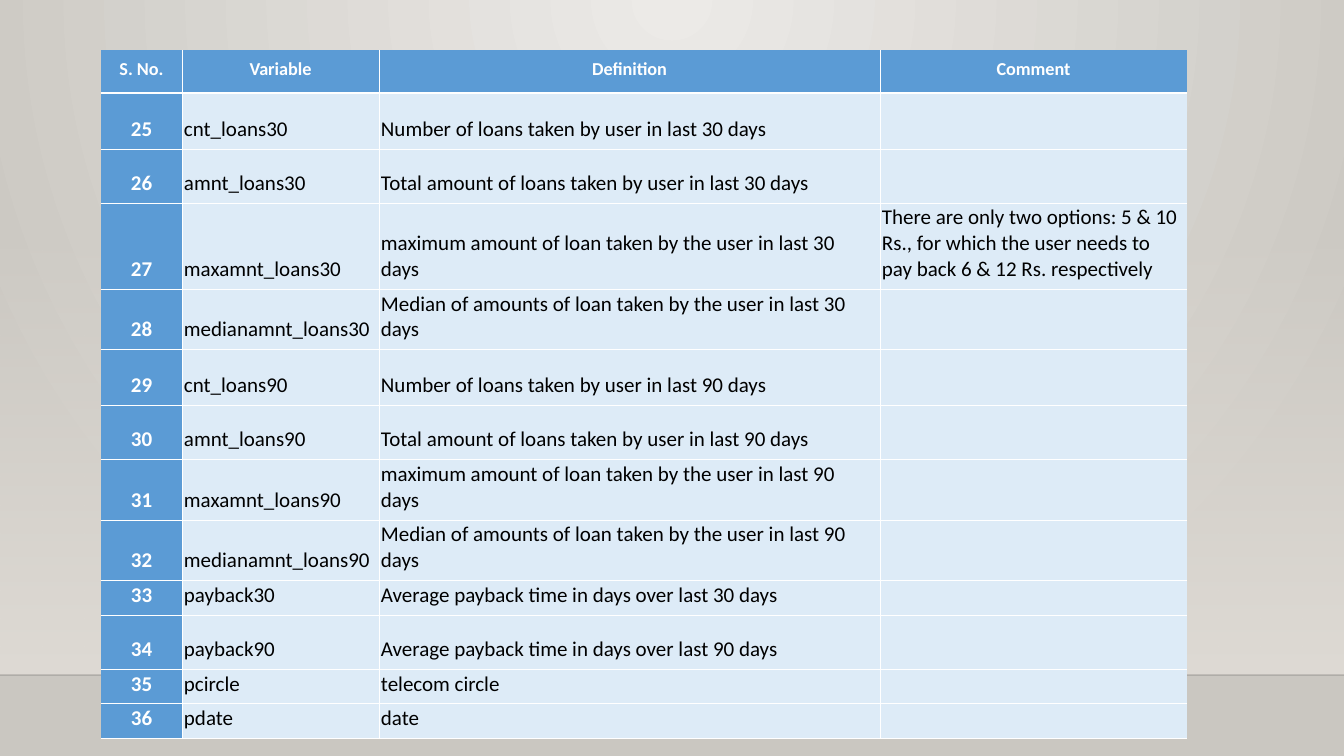
from lxml import etree
from pptx import Presentation
from pptx.dml.color import RGBColor
from pptx.enum.shapes import MSO_CONNECTOR, MSO_SHAPE
from pptx.enum.text import MSO_ANCHOR, PP_ALIGN
from pptx.oxml import parse_xml
from pptx.oxml.ns import qn
from pptx.util import Emu, Pt

RECTANGLE, STRAIGHT = MSO_SHAPE.RECTANGLE, MSO_CONNECTOR.STRAIGHT
MIDDLE, BOTTOM = MSO_ANCHOR.MIDDLE, MSO_ANCHOR.BOTTOM
LEFT, CENTER = PP_ALIGN.LEFT, PP_ALIGN.CENTER
A = "http://schemas.openxmlformats.org/drawingml/2006/main"
WIDTH, HEIGHT = 1344, 756

HEADER = ("S. No.", "Variable", "Definition", "Comment")
FIRST_NUMBER = 25
VARIABLES = [
    ("cnt_loans30", "Number of loans taken by user in last 30 days"),
    ("amnt_loans30", "Total amount of loans taken by user in last 30 days"),
    ("maxamnt_loans30", "maximum amount of loan taken by the user in last 30 days"),
    ("medianamnt_loans30", "Median of amounts of loan taken by the user in last 30 days"),
    ("cnt_loans90", "Number of loans taken by user in last 90 days"),
    ("amnt_loans90", "Total amount of loans taken by user in last 90 days"),
    ("maxamnt_loans90", "maximum amount of loan taken by the user in last 90 days"),
    ("medianamnt_loans90", "Median of amounts of loan taken by the user in last 90 days"),
    ("payback30", "Average payback time in days over last 30 days"),
    ("payback90", "Average payback time in days over last 90 days"),
    ("pcircle", "telecom circle"),
    ("pdate", "date"),
]
COMMENTS = {
    "maxamnt_loans30": "There are only two options: 5 & 10 Rs., for which the user "
                       "needs to pay back 6 & 12 Rs. respectively",
}
COLUMN_WIDTHS = (81, 197, 501, 307)
ROW_HEIGHTS = (43, 56, 54, 83, 58, 56, 54, 54, 58, 33, 54, 33, 33)


def px(n):
    return Emu(round(n * 12192000 / WIDTH))


def rgb(value):
    return RGBColor.from_string(value)


class Deck:
    """Hold the style and the current slide, and draw its elements."""

    font, header_size, body_size = "Calibri", 13, 15
    accent, pale, white, black = "5B9BD5", "DDEBF7", "FFFFFF", "000000"

    def __init__(self):
        self.prs = Presentation()
        self.prs.slide_width, self.prs.slide_height = px(WIDTH), px(HEIGHT)
        self.s = self.prs.slides.add_slide(self.prs.slide_layouts[6])

    def gradient(self, fill, owner, stops, shade):
        fill.gradient()
        old = owner.xpath(".//a:gradFill")[0]
        marks = "".join(
            f'<a:gs pos="{pos}000"><a:srgbClr val="{color}">'
            f'<a:alpha val="{alpha}000"/></a:srgbClr></a:gs>'
            for pos, color, alpha in stops)
        new = parse_xml(f'<a:gradFill xmlns:a="{A}" rotWithShape="1">'
                        f"<a:gsLst>{marks}</a:gsLst>{shade}</a:gradFill>")
        old.getparent().replace(old, new)

    def background(self, inner, outer):
        shade = ('<a:path path="circle"><a:fillToRect l="43000" t="0" '
                 'r="43000" b="100000"/></a:path>')
        self.gradient(self.s.background.fill, self.s.element,
                      [(0, inner, 100), (100, outer, 100)], shade)

    def wall(self, x, y, w, h, color):
        sp = self.s.shapes.add_shape(RECTANGLE, px(x), px(y), px(w), px(h))
        sp.shadow.inherit = False
        sp.line.fill.background()
        self.gradient(sp.fill, sp.element, [(0, color, 0), (100, color, 100)],
                      '<a:lin ang="5400000" scaled="0"/>')

    def rule(self, y, color, alpha):
        line = self.s.shapes.add_connector(STRAIGHT, 0, px(y), px(WIDTH), px(y))
        line.line.width = Pt(1)
        line.line.color.rgb = rgb(color)
        mark = line.element.xpath(".//a:ln//a:srgbClr")[0]
        etree.SubElement(mark, qn("a:alpha")).set("val", f"{alpha}000")
        etree.SubElement(line.element.spPr, qn("a:effectLst"))

    def borders(self, cell, widths):
        props = cell._tc.get_or_add_tcPr()
        for i, (side, width) in enumerate(zip("LRTB", widths)):
            paint = (f'<a:solidFill><a:srgbClr val="{self.white}"/></a:solidFill>'
                     if width else "<a:noFill/>")
            props.insert(i, parse_xml(
                f'<a:ln{side} xmlns:a="{A}" w="{Pt(width)}">{paint}</a:ln{side}>'))

    def cell(self, cell, text, header, number):
        cell.margin_left = cell.margin_right = cell.margin_top = px(2)
        cell.margin_bottom = px(7)
        cell.vertical_anchor = MIDDLE if header else BOTTOM
        strong = header or number
        cell.fill.solid()
        cell.fill.fore_color.rgb = rgb(self.accent if strong else self.pale)
        cell.text_frame.text = text
        p = cell.text_frame.paragraphs[0]
        p.alignment = CENTER if strong else LEFT
        size = Pt(self.header_size if header else self.body_size)
        for r in p.runs:
            r.font.name, r.font.size, r.font.bold = self.font, size, strong
            r.font.color.rgb = rgb(self.white if strong else self.black)
        if not text:
            p._p.get_or_add_endParaRPr().set("sz", str(int(size.pt * 100)))

    def table(self, x, y, rows, widths, heights):
        frame = self.s.shapes.add_table(len(rows), len(widths), px(x), px(y),
                                        px(sum(widths)), px(sum(heights)))
        table = frame.table
        table.horz_banding = False
        for column, width in zip(table.columns, widths):
            column.width = px(width)
        for row, height in zip(table.rows, heights):
            row.height = px(height)
        for i, row in enumerate(rows):
            top = (0, 1.5)[i] if i < 2 else 0.5
            bottom = 0.5 if i else 1.5
            for j, text in enumerate(row):
                cell = table.cell(i, j)
                self.cell(cell, text, i == 0, j == 0)
                left = 0.5 if j else 0
                right = 0.5 if j < len(row) - 1 else 0
                self.borders(cell, (left, right, top, bottom))


def main():
    deck = Deck()
    deck.background("ECEAE7", "CAC7C1")
    deck.wall(0, 223, WIDTH, 452, "DFDBD5")
    deck.rule(675, "000001", 20)
    rows = [HEADER] + [
        (str(number), name, definition, COMMENTS.get(name, ""))
        for number, (name, definition) in enumerate(VARIABLES, FIRST_NUMBER)]
    deck.table(101, 50, rows, COLUMN_WIDTHS, ROW_HEIGHTS)
    deck.prs.save("out.pptx")


if __name__ == "__main__":
    main()
